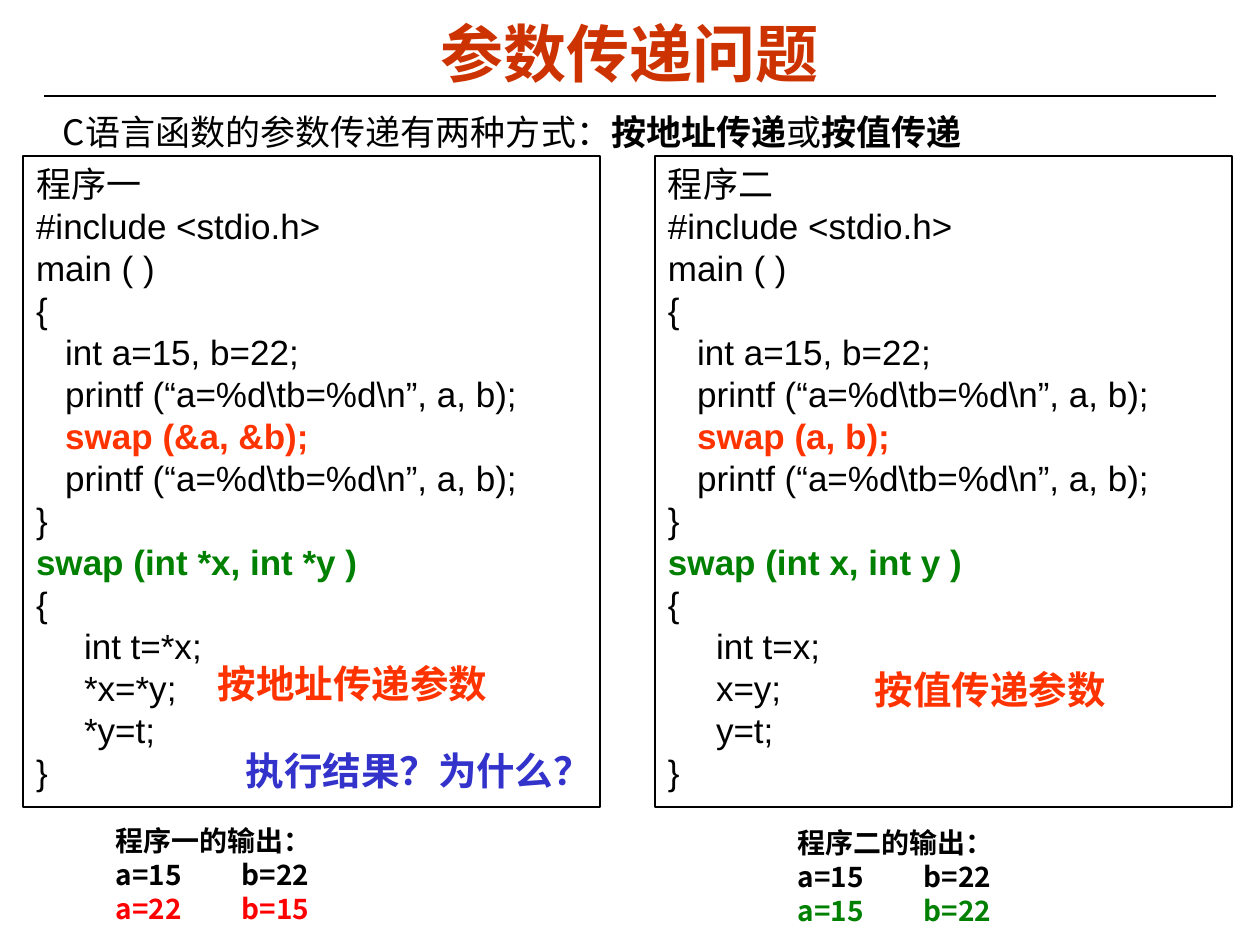
from dataclasses import dataclass
from lxml.etree import SubElement
from pptx import Presentation
from pptx.dml.color import RGBColor
from pptx.enum.shapes import MSO_CONNECTOR as Connector, MSO_SHAPE as Preset
from pptx.enum.text import MSO_ANCHOR as Anchor, PP_ALIGN as Align
from pptx.oxml.ns import qn
from pptx.util import Emu, Pt

PIXEL = 914400 // 126
SANS = "Arial"
CJK = "Noto Sans CJK SC"
COLORS = {
    "black": "000000", "white": "FFFFFF", "title": "CC3300", "orange": "FF3300",
    "green": "008000", "red": "FF0000", "blue": "3333CC",
}


@dataclass(frozen=True)
class Run:
    text: str
    color: str = "black"
    bold: bool = False


@dataclass(frozen=True)
class Area:
    left: int
    top: int
    width: int
    height: int


@dataclass(frozen=True)
class Program:
    name: str
    panel: Area
    call: str
    header: str
    body: tuple[str, ...]
    output: Area
    result: Run


@dataclass(frozen=True)
class Remark:
    area: Area
    text: str
    color: str


def px(value: int) -> Emu:
    return Emu(value * PIXEL)


def rgb(name: str) -> RGBColor:
    return RGBColor.from_string(COLORS[name])


def add_text(page, area: Area, lines: list[list[Run]], *, size: int, font: str = CJK,
             pitch: float | None = None, align=Align.LEFT, anchor=Anchor.TOP,
             margin: int = 6, hanging: int = 0, rect: bool = False,
             fill: str | None = None, border: str | None = None) -> None:
    """Place lines of runs in a text box or a rectangle."""
    place = [px(v) for v in (area.left, area.top, area.width, area.height)]
    if rect:
        box = page.shapes.add_shape(Preset.RECTANGLE, *place)
        box.shadow.inherit = False
    else:
        box = page.shapes.add_textbox(*place)
    if fill:
        box.fill.solid()
        box.fill.fore_color.rgb = rgb(fill)
    else:
        box.fill.background()
    if border:
        box.line.color.rgb = rgb(border)
        box.line.width = Pt(0.74)
    else:
        box.line.fill.background()

    frame = box.text_frame
    frame.word_wrap = True
    frame.vertical_anchor = anchor
    frame.margin_left = frame.margin_right = px(13)
    frame.margin_top = frame.margin_bottom = px(margin)
    for index, runs in enumerate(lines):
        para = frame.paragraphs[0] if index == 0 else frame.add_paragraph()
        para.alignment = align
        if pitch:
            para.line_spacing = Pt(pitch)
        if hanging:
            properties = para._p.get_or_add_pPr()
            properties.set("marL", str(px(hanging)))
            properties.set("indent", str(px(-hanging)))
        for run in runs:
            span = para.add_run()
            span.text = run.text
            span.font.size = Pt(size)
            span.font.bold = run.bold
            span.font.color.rgb = rgb(run.color)
            span.font.name = font
            SubElement(span._r.get_or_add_rPr(), qn("a:ea"), typeface=CJK)


def add_rule(page, left: int, right: int, top: int) -> None:
    rule = page.shapes.add_connector(
        Connector.STRAIGHT, px(left), px(top), px(right), px(top))
    rule.line.color.rgb = rgb("black")
    rule.line.width = Pt(0.74)
    SubElement(rule._element.spPr, qn("a:effectLst"))


def code_lines(program: Program) -> list[list[Run]]:
    show = "   printf (“a=%d\\tb=%d\\n”, a, b);"
    opening = [program.name, "#include <stdio.h>", "main ( )", "{ ",
               "   int a=15, b=22;", show]
    return [
        *([Run(text)] for text in opening),
        [Run("   ", bold=True), Run(program.call, "orange", True)],
        [Run(show)],
        [Run("}")],
        [Run(program.header, "green", True)],
        [Run("{")],
        *([Run("\t" + text)] for text in program.body),
        [Run("}")],
    ]


def add_program(page, program: Program) -> None:
    add_text(page, program.output, [
        [Run(f"{program.name}的输出：", bold=True)],
        [Run("a=15\tb=22", bold=True)],
        [program.result],
    ], size=16, pitch=19.2, align=Align.JUSTIFY, margin=0, rect=True, fill="white")
    add_text(page, program.panel, code_lines(program), size=20, font=SANS, pitch=24,
             align=Align.JUSTIFY, hanging=48, rect=True, border="black")


PROGRAMS = [
    Program("程序一", Area(23, 156, 577, 651), "swap (&a, &b);",
            "swap (int *x, int *y )", ("int t=*x;", "*x=*y;", "*y=t;"),
            Area(103, 824, 323, 120), Run("a=22\tb=15", "red", True)),
    Program("程序二", Area(655, 156, 577, 651), "swap (a, b);",
            "swap (int x, int y )", ("int t=x;", "x=y;", "y=t;"),
            Area(785, 826, 305, 119), Run("a=15\tb=22", "green", True)),
]
REMARKS = [
    Remark(Area(205, 653, 388, 59), "按地址传递参数", "orange"),
    Remark(Area(862, 659, 350, 59), "按值传递参数", "orange"),
    Remark(Area(233, 740, 372, 59), "执行结果？为什么？", "blue"),
]

deck = Presentation()
deck.slide_width, deck.slide_height = px(1260), px(945)
page = deck.slides.add_slide(deck.slide_layouts[6])

# Title and rule
add_rule(page, 44, 1216, 96)
add_text(page, Area(63, 14, 1134, 77), [[Run("参数传递问题", "title", True)]],
         size=36, font=SANS, align=Align.CENTER, anchor=Anchor.MIDDLE)

# Introduction
add_text(page, Area(50, 82, 1210, 825), [[
    Run("C语言函数的参数传递有两种方式："), Run("按地址传递", bold=True),
    Run("或"), Run("按值传递", bold=True),
]], size=20, pitch=37)

# Code panels with their output
for program in PROGRAMS:
    add_program(page, program)

# Remarks over the panels
for remark in REMARKS:
    add_text(page, remark.area, [[Run(remark.text, remark.color, True)]],
             size=22, pitch=27, anchor=Anchor.MIDDLE)

deck.save("out.pptx")
